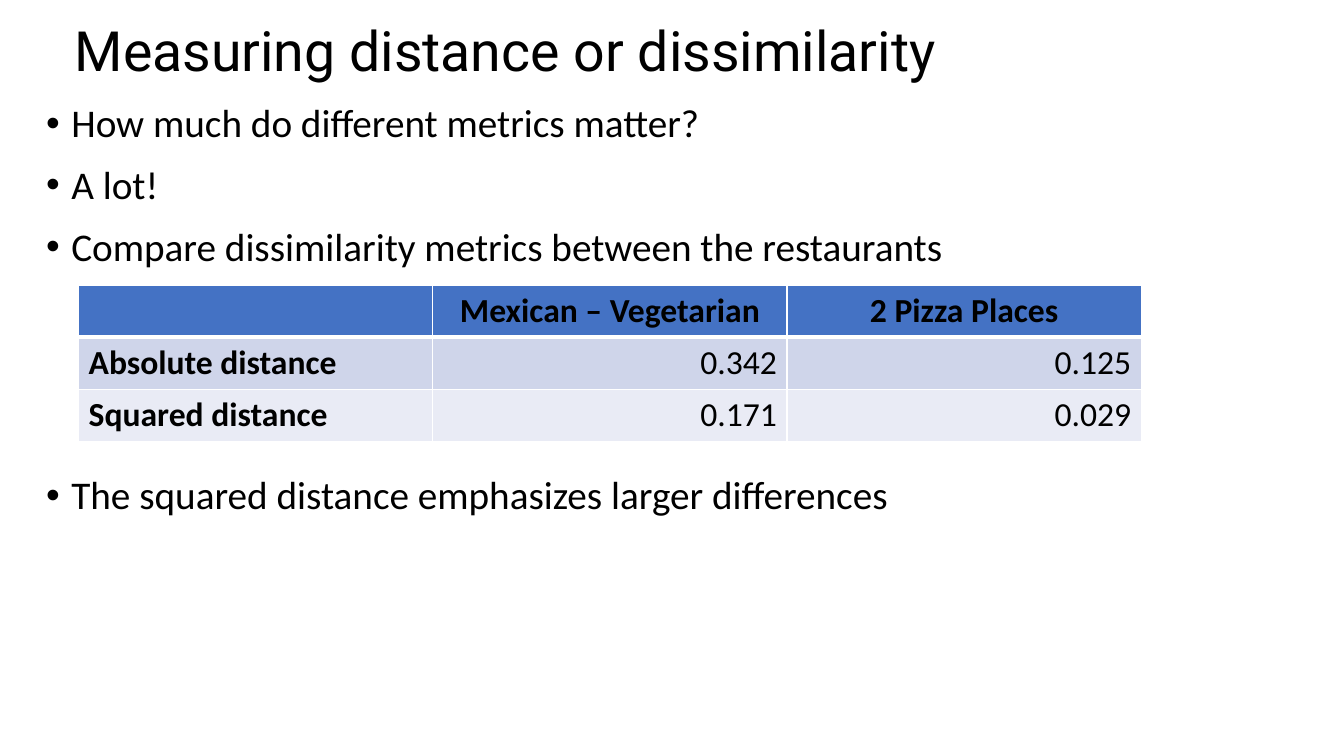
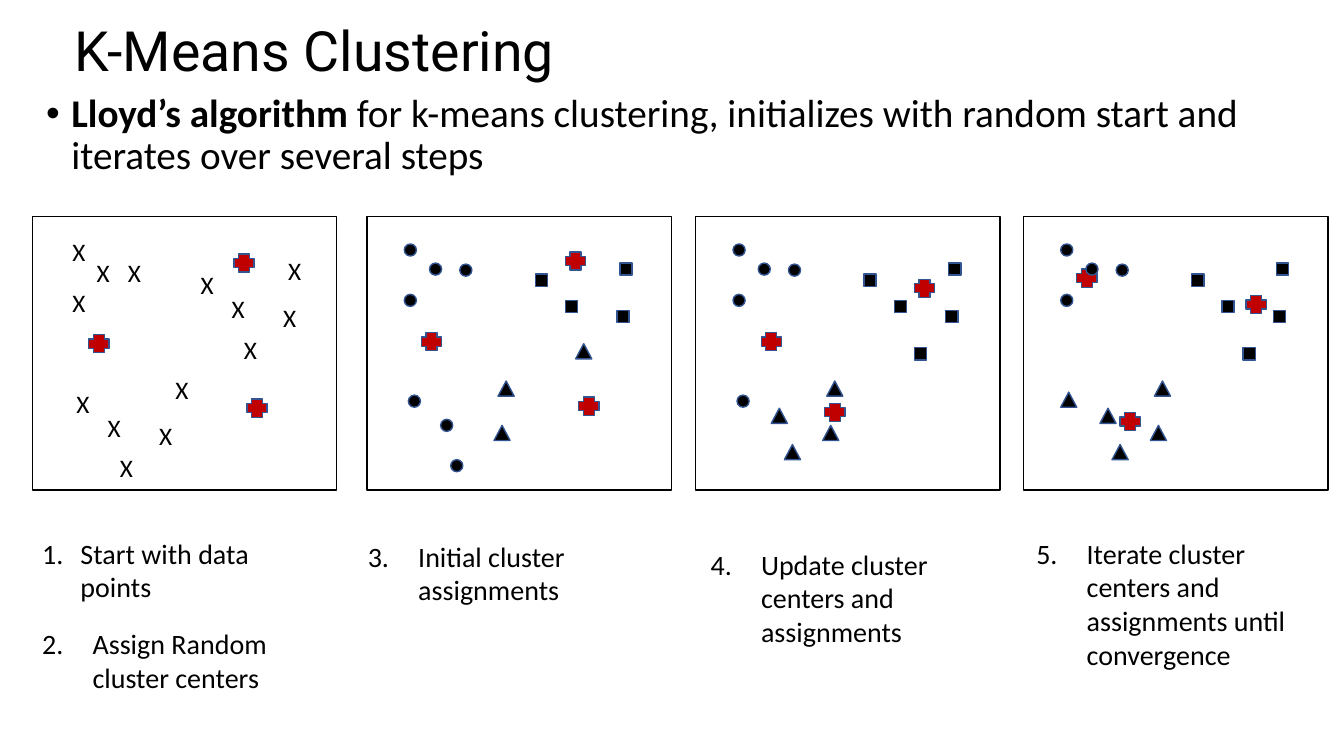
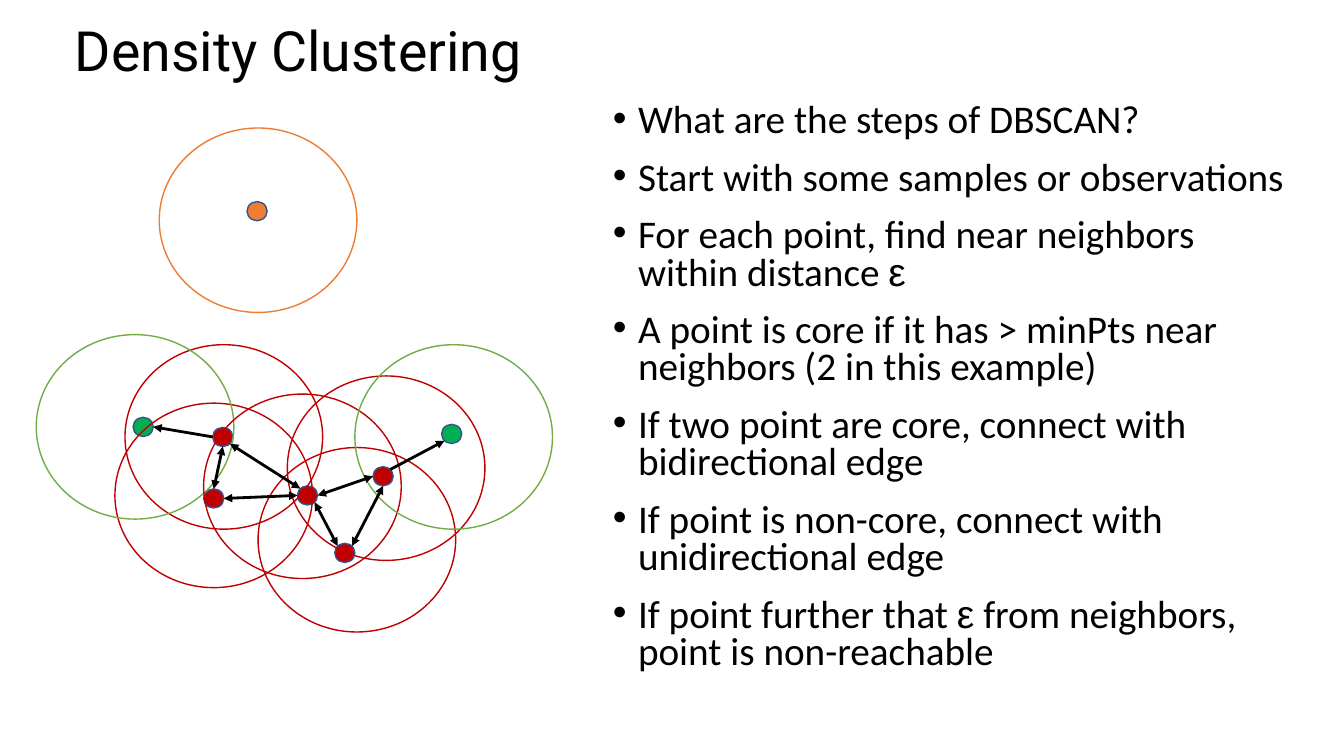
import pptx
import pptx.dml.color
import pptx.enum.shapes
import pptx.enum.text
import pptx.oxml.ns
import pptx.util
from lxml import etree

Inches, Pt = pptx.util.Inches, pptx.util.Pt
qn = pptx.oxml.ns.qn
SHAPE = pptx.enum.shapes.MSO_SHAPE
ALIGN = pptx.enum.text.PP_ALIGN
ANCHOR = pptx.enum.text.MSO_ANCHOR
AUTOSIZE = pptx.enum.text.MSO_AUTO_SIZE

COLORS = {
    "text": "000000", "outline": "325491", "white": "FFFFFF",
    "header": "4472C4", "band1": "CFD5EA", "band2": "E9EBF5",
    "red": "C00000", "green": "00B050", "orange": "ED7D31", "ring_green": "70AD47",
}

# Font formats
TITLE = {"name": "Roboto", "size": Pt(39.6), "bold": False}
BODY = {"name": "Calibri", "size": Pt(28), "bold": False}
BOLD = {**BODY, "bold": True}
GREEK = {**BODY, "name": "Arial"}
CELL = {**BODY, "size": Pt(24)}
CELL_BOLD = {**CELL, "bold": True}
CAPTION = {**BODY, "size": Pt(20)}
MARK = {**BODY, "size": Pt(18)}


# Shared helpers
def rgb(name):
    return pptx.dml.color.RGBColor.from_string(COLORS[name])


def set_attrs(obj, fmt):
    for key, value in fmt.items():
        setattr(obj, key, value)


def add_run(p, text, fmt):
    r = p.add_run()
    r.text = text
    set_attrs(r.font, fmt)
    r.font.color.rgb = rgb("text")


def add_bullet(p, indent, tag, **attrs):
    pPr = p._p.get_or_add_pPr()
    pPr.set("marL", str(Inches(indent)))
    pPr.set("indent", str(-Inches(indent)))
    if tag == "a:buChar":
        etree.SubElement(pPr, qn("a:buFont")).set("typeface", "Arial")
    etree.SubElement(pPr, qn(tag), attrs)


def add_text(s, box, **fmt):
    tf = s.shapes.add_textbox(*map(Inches, box)).text_frame
    set_attrs(tf, {"word_wrap": True, **fmt})
    return tf


def add_title_slide(prs, title):
    s = prs.slides.add_slide(prs.slide_layouts[5])
    sp = s.shapes.title
    set_attrs(sp, {"left": Inches(0.64), "top": Inches(0.24),
                   "width": Inches(11.5), "height": Inches(0.58)})
    set_attrs(sp.text_frame, {"word_wrap": True, "auto_size": AUTOSIZE.NONE,
                              "vertical_anchor": ANCHOR.MIDDLE})
    p = sp.text_frame.paragraphs[0]
    set_attrs(p, {"alignment": ALIGN.LEFT, "line_spacing": 0.9})
    add_run(p, title, TITLE)
    return s


def add_bullets(s, box, items, line_spacing=0.9):
    """Each item is a list of (text, format) runs."""
    tf = add_text(s, box)
    for i, runs in enumerate(items):
        p = tf.add_paragraph() if i else tf.paragraphs[0]
        set_attrs(p, {"line_spacing": line_spacing, "space_before": Pt(14)})
        add_bullet(p, 0.25, "a:buChar", char="•")
        for text, fmt in runs:
            add_run(p, text, fmt)
    return tf


def add_outlined(s, kind, box, fill=None, line="outline"):
    sp = s.shapes.add_shape(kind, *map(Inches, box))
    sp.shadow.inherit = False
    if fill:
        sp.fill.solid()
        sp.fill.fore_color.rgb = rgb(fill)
    else:
        sp.fill.background()
    sp.line.color.rgb = rgb(line)
    sp.line.width = Pt(1)


# Distance table
def set_borders(cell, bottom):
    tcPr = cell._tc.get_or_add_tcPr()
    for side, width in (("L", 1), ("R", 1), ("T", 1), ("B", bottom)):
        ln = etree.SubElement(tcPr, qn("a:ln" + side), w=str(Pt(width)))
        fill = etree.SubElement(ln, qn("a:solidFill"))
        etree.SubElement(fill, qn("a:srgbClr"), val=COLORS["white"])


def add_distance_table(s, box, rows):
    table = s.shapes.add_table(len(rows), len(rows[0]), *map(Inches, box)).table
    for i, row in enumerate(rows):
        for j, text in enumerate(row):
            cell = table.cell(i, j)
            set_borders(cell, 1 if i else 3)
            cell.fill.solid()
            cell.fill.fore_color.rgb = rgb(("header", "band1", "band2")[i])
            if not text:
                continue
            p = cell.text_frame.paragraphs[0]
            if i == 0:
                p.alignment = ALIGN.CENTER
            else:
                p.alignment = ALIGN.RIGHT if j else ALIGN.LEFT
            add_run(p, text, CELL if i and j else CELL_BOLD)


def build_distance_slide(prs):
    s = add_title_slide(prs, "Measuring distance or dissimilarity")
    lines = ["How much do different metrics matter?", "A lot!",
             "Compare dissimilarity metrics between the restaurants",
             "The squared distance emphasizes larger differences"]
    tf = add_bullets(s, (0.36, 0.98, 12.6, 6.23), [[(t, BODY)] for t in lines])
    tf.paragraphs[-1].space_before = Pt(147)  # room for the table
    add_distance_table(s, (0.78, 2.83, 10.54, 1.55), [
        ["", "Mexican – Vegetarian", "2 Pizza Places"],
        ["Absolute distance", "0.342", "0.125"],
        ["Squared distance", "0.171", "0.029"]])


# K-means panels: marks are offsets from the panel corner
MARKERS = {
    "center": (SHAPE.CROSS, 0.2, 0.18, "red"),
    "circle": (SHAPE.OVAL, 0.12, 0.12, "text"),
    "square": (SHAPE.RECTANGLE, 0.12, 0.12, "text"),
    "triangle": (SHAPE.ISOSCELES_TRIANGLE, 0.16, 0.15, "text"),
}
SHARED_POINTS = {
    "circle": [(0.37, 0.27), (0.62, 0.46), (0.92, 0.47), (0.37, 0.77)],
    "square": [(1.67, 0.57), (1.97, 0.83), (2.51, 0.46), (2.48, 0.93)],
    "triangle": [(1.3, 1.63), (1.26, 2.07)],
}
RAW_POINTS = [(0.3, 0.15), (0.54, 0.35), (0.85, 0.35), (0.3, 0.65), (1.57, 0.47),
              (2.44, 0.33), (1.88, 0.71), (2.39, 0.8), (2, 1.12), (0.34, 1.65),
              (1.32, 1.51), (0.65, 1.89), (1.16, 1.97), (0.77, 2.29)]
PANELS = [
    (0.32, {"center": [(0.56, 1.17), (2.13, 1.81), (2, 0.37)], "raw": RAW_POINTS}),
    (3.64, {"center": [(0.54, 1.15), (2.1, 1.79), (1.97, 0.35)],
            "circle": [(0.41, 1.77), (0.73, 2.01), (0.83, 2.41)],
            "triangle": [(2.07, 1.26)]}),
    (6.9, {"center": [(0.65, 1.15), (1.28, 1.85), (2.17, 0.62)],
           "circle": [(0.41, 1.77)], "square": [(2.17, 1.3)],
           "triangle": [(0.75, 1.9), (0.88, 2.26)]}),
    (10.15, {"center": [(0.53, 0.52), (0.96, 1.94), (2.21, 0.78)],
             "square": [(2.18, 1.3)],
             "triangle": [(0.76, 1.9), (0.88, 2.26), (0.37, 1.74)]}),
]
CAPTIONS = [
    ((0.32, 5.27, 2.93, 0.77), 0.38, "Start with data points"),
    ((0.32, 6.17, 2.86, 0.77), 0.5, "Assign Random cluster centers"),
    ((3.55, 5.3, 2.86, 0.77), 0.5, "Initial cluster assignments"),
    ((6.95, 5.38, 2.86, 1.11), 0.5, "Update cluster centers and assignments"),
    ((10.18, 5.27, 2.86, 1.45), 0.5,
     "Iterate cluster centers and assignments until convergence"),
]


def add_panel(s, left, top, marks):
    add_outlined(s, SHAPE.RECTANGLE, (left, top, 3.02, 2.71), line="text")
    for x, y in marks.get("raw", []):
        tf = add_text(s, (left + x, top + y, 0.31, 0.4), word_wrap=False,
                      auto_size=AUTOSIZE.SHAPE_TO_FIT_TEXT)
        add_run(tf.paragraphs[0], "X", MARK)
    for name, (kind, w, h, fill) in MARKERS.items():
        shared = [] if "raw" in marks else SHARED_POINTS.get(name, [])
        for x, y in shared + marks.get(name, []):
            add_outlined(s, kind, (left + x, top + y, w, h), fill)


def add_caption(s, box, indent, number, text):
    p = add_text(s, box).paragraphs[0]
    add_bullet(p, indent, "a:buAutoNum", type="arabicPeriod", startAt=str(number))
    add_run(p, text, CAPTION)


def build_kmeans_slide(prs):
    s = add_title_slide(prs, "K-Means Clustering")
    add_bullets(s, (0.36, 0.88, 12.6, 0.98), [[
        ("Lloyd’s algorithm ", BOLD),
        ("for k-means clustering, initializes with random start and "
         "iterates over several steps", BODY)]])
    for left, marks in PANELS:
        add_panel(s, left, 2.15, marks)
    for number, (box, indent, text) in enumerate(CAPTIONS, 1):
        add_caption(s, box, indent, number, text)


# Density graph: node and ring offsets from the graph corner
NODE_W, NODE_H = 0.2, 0.19
NODES = {  # name: (node offset, ring offset, node colour, ring colour)
    "upper": ((1.75, 2.97), (0.88, 2.15), "red", "red"),
    "lower": ((1.66, 3.58), (0.78, 2.73), "red", "red"),
    "west": ((0.96, 2.87), (0, 2.05), "green", "ring_green"),
    "middle": ((2.59, 3.55), (1.66, 2.64), "red", "red"),
    "right": ((3.34, 3.36), (2.49, 2.46), "red", "red"),
    "bottom": ((2.96, 4.12), (2.2, 3.17), "red", "red"),
    "east": ((4.02, 2.94), (3.16, 2.15), "green", "ring_green"),
    "outlier": ((2.09, 0.73), (1.22, 0), "orange", "orange"),
}
SITES = {"n": (0, -1), "s": (0, 1), "w": (-1, 0), "e": (1, 0), "nw": (-0.71, -0.71),
         "ne": (0.71, -0.71), "sw": (-0.71, 0.71), "se": (0.71, 0.71)}
BOTH = ("a:headEnd", "a:tailEnd")
EDGES = [
    ("right", "s", "bottom", "ne", BOTH),
    ("upper", "s", "lower", "n", BOTH),
    ("upper", "w", "west", "e", BOTH[1:]),
    ("upper", "se", "middle", "nw", BOTH),
    ("lower", "e", "middle", "w", BOTH),
    ("middle", "e", "right", "w", BOTH),
    ("middle", "se", "bottom", "nw", BOTH),
    ("east", "sw", "right", "ne", BOTH[:1]),
]


def add_arrow(s, start, end, heads):
    cx = s.shapes.add_connector(pptx.enum.shapes.MSO_CONNECTOR.STRAIGHT,
                                *map(Inches, start + end))
    cx.line.color.rgb = rgb("text")
    cx.line.width = Pt(2)
    for tag in heads:
        etree.SubElement(cx.get_or_add_ln(), qn(tag), type="triangle")
    etree.SubElement(cx.element.spPr, qn("a:effectLst"))


def add_density_graph(s, left, top):
    def site(name, side):
        (x, y), (dx, dy) = NODES[name][0], SITES[side]
        return (left + x + NODE_W / 2 * (1 + dx), top + y + NODE_H / 2 * (1 + dy))

    for (x, y), _, color, _ in NODES.values():
        add_outlined(s, SHAPE.OVAL, (left + x, top + y, NODE_W, NODE_H), color)
    for _, (x, y), _, color in NODES.values():
        add_outlined(s, SHAPE.OVAL, (left + x, top + y, 1.96, 1.83), line=color)
    for a, a_side, b, b_side, heads in EDGES:
        add_arrow(s, site(a, a_side), site(b, b_side), heads)


def build_density_slide(prs):
    s = add_title_slide(prs, "Density Clustering")
    add_bullets(s, (5.98, 0.98, 6.99, 6.13), [
        [("What are the steps of DBSCAN?", BODY)],
        [("Start with some samples or observations", BODY)],
        [("For each point, find near neighbors within distance ", BODY), ("ε", GREEK)],
        [("A point is core if it has > minPts near neighbors (2 in this example)", BODY)],
        [("If two point are core, connect with bidirectional edge", BODY)],
        [("If point is non-core, connect with unidirectional edge", BODY)],
        [("If point further that ", BODY), ("ε", GREEK),
         (" from neighbors, point is non-reachable", BODY)],
    ], line_spacing=0.8)
    add_density_graph(s, 0.36, 1.27)


def main():
    prs = pptx.Presentation()
    prs.slide_width, prs.slide_height = Inches(13.33), Inches(7.5)
    build_distance_slide(prs)
    build_kmeans_slide(prs)
    build_density_slide(prs)
    prs.save("out.pptx")


if __name__ == "__main__":
    main()
